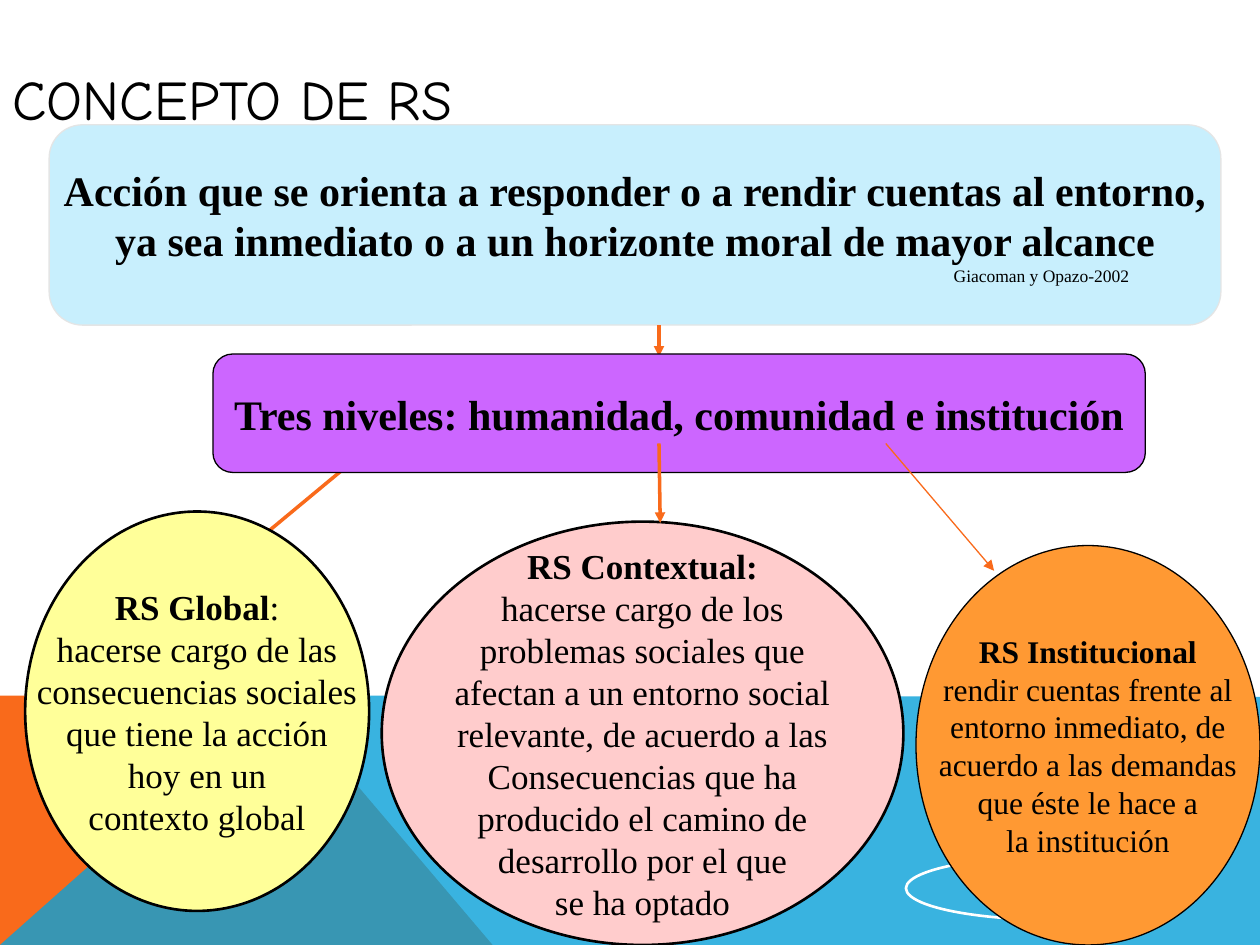
from dataclasses import dataclass

from lxml.etree import SubElement
from pptx import Presentation
from pptx.dml.color import RGBColor
from pptx.enum.shapes import MSO_CONNECTOR, MSO_SHAPE
from pptx.enum.text import MSO_ANCHOR, PP_ALIGN
from pptx.oxml.ns import qn
from pptx.util import Inches, Pt


@dataclass(frozen=True)
class Theme:
    body_font: str = "Times New Roman"
    title_font: str = "Comic Neue"
    black: str = "000000"
    white: str = "FFFFFF"
    orange: str = "F96A1B"
    blue: str = "08A1D9"
    pale_blue: str = "C8EFFD"
    pale_gray: str = "E4E5E5"
    purple: str = "CC66FF"
    yellow: str = "FFFF99"
    pink: str = "FFCCCC"
    amber: str = "FF9933"
    title_size: int = 32
    heading_size: int = 24
    level_size: int = 20
    small_level_size: int = 18
    citation_size: int = 10


THEME = Theme()


def color(value):
    return RGBColor.from_string(value)


def add_text(para, text, size, bold=False, font=THEME.body_font, align=PP_ALIGN.CENTER):
    para.alignment = align
    span = para.add_run()
    span.text = text
    span.font.name = font
    span.font.size = Pt(size)
    span.font.bold = bold
    span.font.color.rgb = color(THEME.black)


def add_title(page, text):
    box = page.shapes.title
    box.left, box.top, box.width, box.height = Inches(0), Inches(0.28), Inches(8), Inches(1)
    box.text_frame.vertical_anchor = MSO_ANCHOR.MIDDLE
    add_text(box.text_frame.paragraphs[0], text, THEME.title_size,
             font=THEME.title_font, align=PP_ALIGN.LEFT)


def add_band(page, points, fill, opacity=100):
    corners = [(Inches(x), Inches(y)) for x, y in points]
    builder = page.shapes.build_freeform(*corners[0])
    builder.add_line_segments(corners[1:], close=True)
    band = builder.convert_to_shape()
    band.shadow.inherit = False
    band.fill.solid()
    band.fill.fore_color.rgb = color(fill)
    band.line.fill.background()
    if opacity < 100:
        tint = band.fill._xPr.find(qn("a:solidFill"))[0]
        SubElement(tint, qn("a:alpha"), val=str(opacity * 1000))


def add_box(page, kind, place, fill=None, line=THEME.black, weight=0.75):
    box = page.shapes.add_shape(kind, *(Inches(value) for value in place))
    box.shadow.inherit = False
    if fill:
        box.fill.solid()
        box.fill.fore_color.rgb = color(fill)
    else:
        box.fill.background()
    box.line.color.rgb = color(line)
    box.line.width = Pt(weight)
    box.text_frame.vertical_anchor = MSO_ANCHOR.MIDDLE
    box.text_frame.word_wrap = False
    return box


def add_definition(page, lines, citation):
    box = add_box(page, MSO_SHAPE.ROUNDED_RECTANGLE, (0.39, 0.99, 9.3, 1.59),
                  THEME.pale_blue, THEME.pale_gray)
    frame = box.text_frame
    frame.word_wrap = True
    frame.margin_left = frame.margin_right = 0
    add_text(frame.paragraphs[0], lines[0], THEME.heading_size, bold=True)
    add_text(frame.add_paragraph(), lines[1], THEME.heading_size, bold=True)
    para = frame.add_paragraph()
    para._p.get_or_add_pPr().set("marL", str(Inches(6.45)))
    add_text(para, citation, THEME.citation_size)


def add_level(page, place, fill, heading, lines, size=THEME.level_size, weight=1.5, mark=""):
    frame = add_box(page, MSO_SHAPE.OVAL, place, fill, weight=weight).text_frame
    add_text(frame.paragraphs[0], heading, size, bold=True)
    if mark:
        add_text(frame.paragraphs[0], mark, size)
    for line in lines:
        add_text(frame.add_paragraph(), line, size)


def add_arrow(page, start, end, weight=2):
    points = [Inches(value) for value in (*start, *end)]
    arrow = page.shapes.add_connector(MSO_CONNECTOR.STRAIGHT, *points)
    arrow.line.color.rgb = color(THEME.orange)
    arrow.line.width = Pt(weight)
    SubElement(arrow.line._get_or_add_ln(), qn("a:tailEnd"), type="triangle")
    SubElement(arrow._element.spPr, qn("a:effectLst"))


def main():
    deck = Presentation()
    deck.slide_width, deck.slide_height = Inches(10), Inches(7.5)
    page = deck.slides.add_slide(deck.slide_layouts[5])

    add_band(page, [(0, 7.5), (0, 5.52), (2.23, 5.52), (3.91, 7.5)], THEME.orange)
    add_band(page, [(0, 7.5), (2.23, 5.52), (10, 5.53), (10, 7.5)], THEME.blue, opacity=80)
    add_arrow(page, (2.97, 3.52), (2.03, 4.3))
    add_title(page, "CONCEPTO DE RS")
    add_box(page, MSO_SHAPE.OVAL, (7.19, 6.8, 2.33, 0.5), line=THEME.white, weight=1.5)

    add_definition(page, ["Acción que se orienta a responder o a rendir cuentas al entorno,",
                          "ya sea inmediato o a un horizonte moral de mayor alcance"],
                   "Giacoman y Opazo-2002")
    add_arrow(page, (5.23, 2.58), (5.23, 2.83))
    levels = add_box(page, MSO_SHAPE.ROUNDED_RECTANGLE, (1.69, 2.81, 7.4, 0.94), THEME.purple)
    add_text(levels.text_frame.paragraphs[0],
             "Tres niveles: humanidad, comunidad e institución", THEME.heading_size, bold=True)

    add_level(page, (0.2, 4.06, 2.73, 3.17), THEME.yellow, "RS Global",
              ["hacerse cargo de las", "consecuencias sociales", "que tiene la acción",
               "hoy en un", "contexto global"], mark=":")
    add_level(page, (3.03, 4.14, 4.14, 3.36), THEME.pink, "RS Contextual:",
              ["hacerse cargo de los", "problemas sociales que",
               "afectan a un entorno social", "relevante, de acuerdo a las",
               "Consecuencias que ha", "producido el camino de",
               "desarrollo por el que", "se ha optado"])
    add_level(page, (7.27, 4.33, 2.73, 3.17), THEME.amber, "RS Institucional",
              ["rendir cuentas frente al", "entorno inmediato, de", "acuerdo a las demandas",
               "que éste le hace a", "la institución"],
              size=THEME.small_level_size, weight=0.75)
    add_arrow(page, (5.23, 3.52), (5.24, 4.15))
    add_arrow(page, (7.03, 3.52), (7.89, 4.53), weight=0.75)

    deck.save("out.pptx")


if __name__ == "__main__":
    main()
